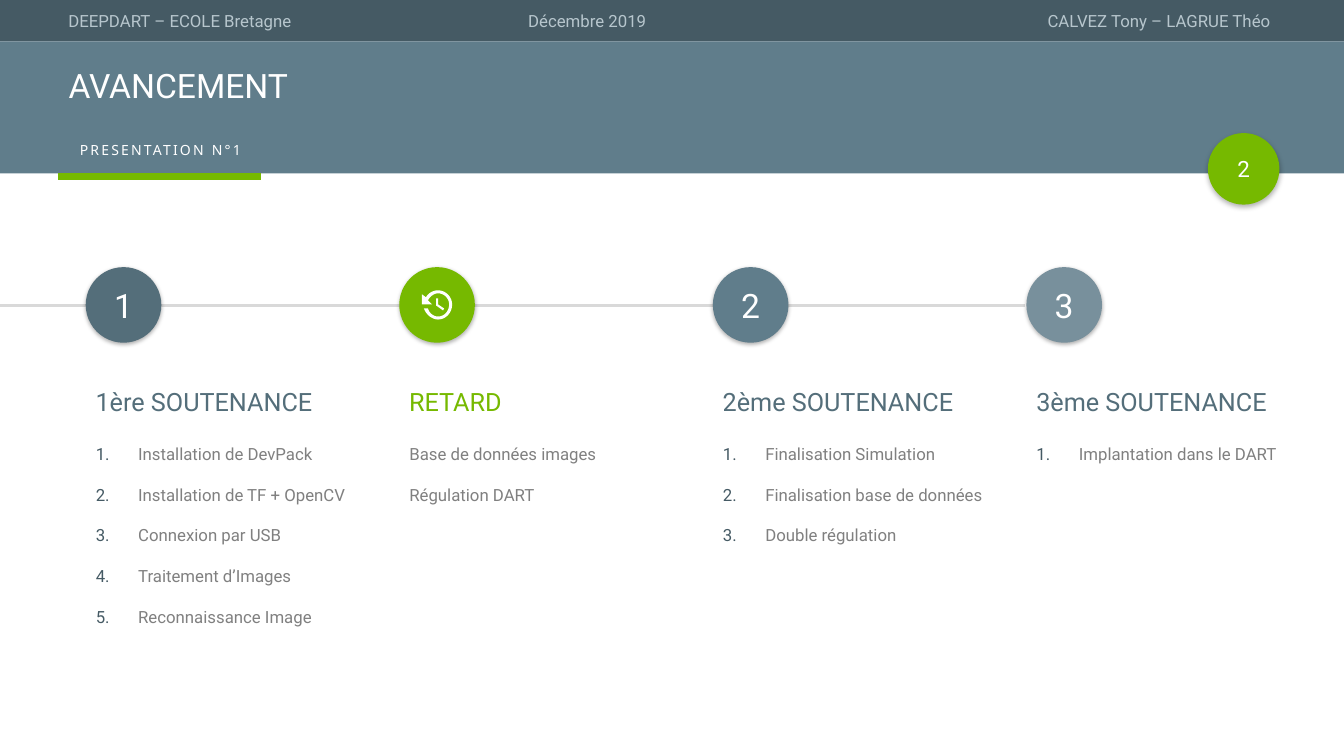
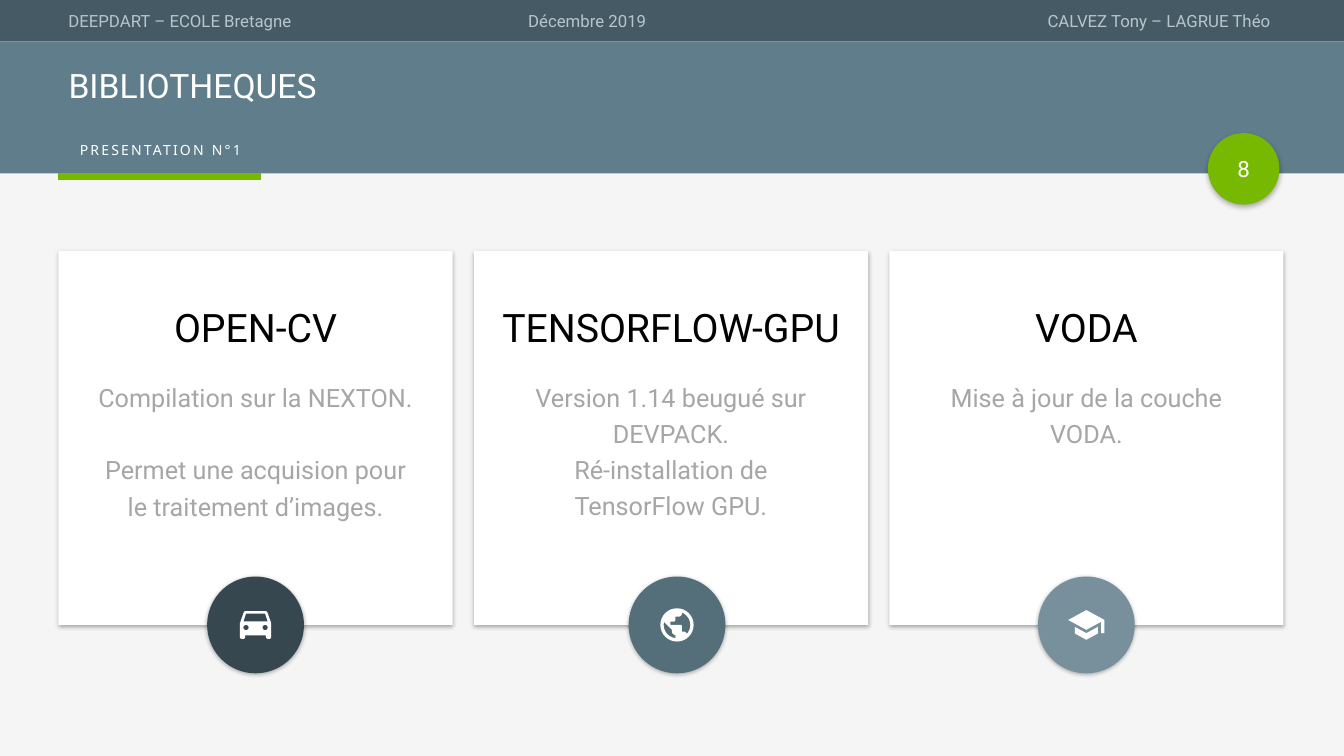
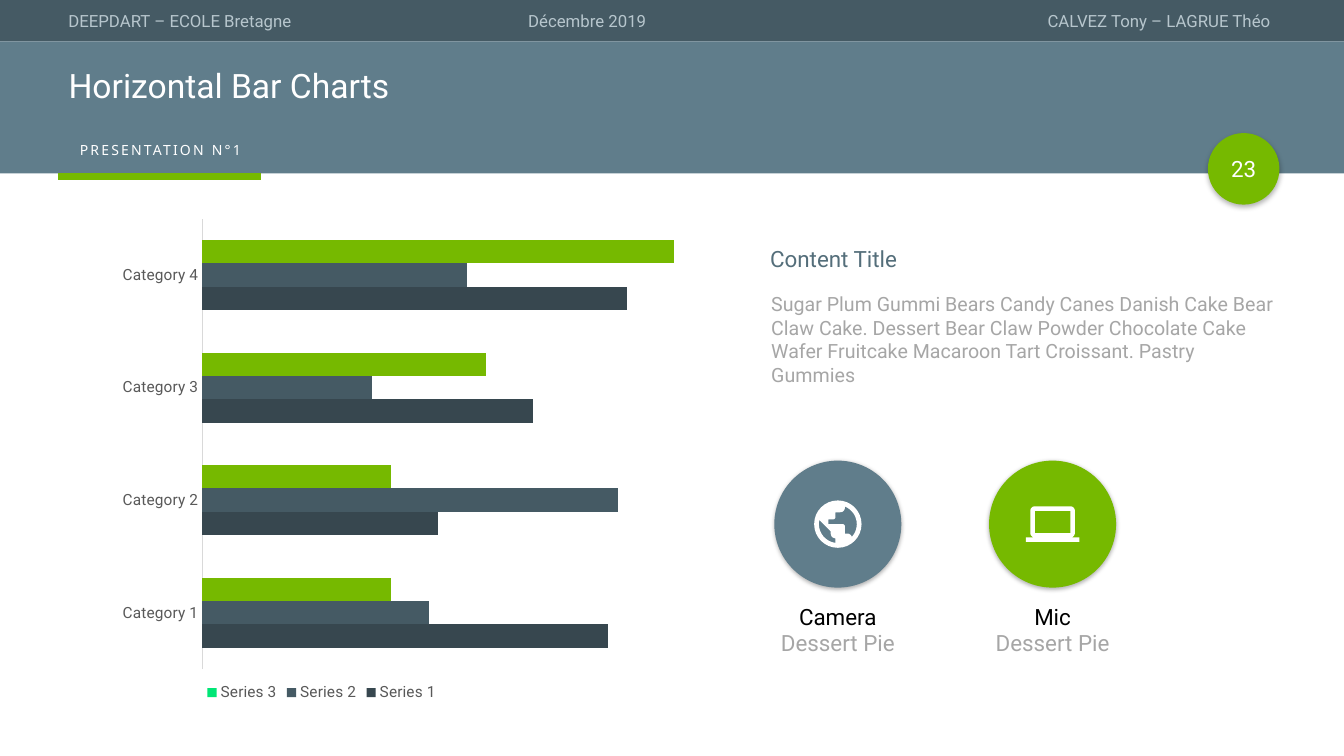
from lxml.etree import SubElement
from pptx import Presentation
from pptx.chart.data import CategoryChartData
from pptx.dml.color import RGBColor
from pptx.enum.chart import XL_CHART_TYPE, XL_LEGEND_POSITION, XL_TICK_MARK
from pptx.enum.shapes import MSO_CONNECTOR, MSO_SHAPE
from pptx.enum.text import MSO_ANCHOR, MSO_AUTO_SIZE, PP_ALIGN
from pptx.oxml import parse_xml
from pptx.oxml.ns import nsdecls, qn
from pptx.util import Inches, Pt

FONT = "Roboto"
GREEN, WHITE, BLACK = "76B900", "FFFFFF", "000000"
DEEP, DARK, SLATE, STEEL, MIST = "37474F", "455A64", "546E7A", "607D8B", "78909C"
GREY, PALE, RULE, FAINT = "808080", "A6A6A6", "D9D9D9", "B7C6CD"
LEFT, MID, RIGHT = PP_ALIGN.LEFT, PP_ALIGN.CENTER, PP_ALIGN.RIGHT

# Icon outlines: M starts a contour, L is a point, C is a cubic curve
GLOBE = ("M12 2C6.48 2 2 6.48 2 12C2 17.52 6.48 22 12 22C17.52 22 22 17.52 22 12"
         "C22 6.48 17.52 2 12 2M11 19.93C7.05 19.44 4 16.08 4 12"
         "C4 11.38 4.08 10.79 4.21 10.21L9 15L9 16C9 17.1 9.9 18 11 18"
         "M17.9 17.39C17.64 16.58 16.9 16 16 16L15 16L15 13C15 12.45 14.55 12 14 12"
         "L8 12L8 10L10 10C10.55 10 11 9.55 11 9L11 7L13 7C14.1 7 15 6.1 15 5"
         "L15 4.59C17.93 5.78 20 8.65 20 12C20 14.08 19.2 15.97 17.9 17.39")
CAR = ("M18.92 6.01C18.72 5.42 18.16 5 17.5 5L6.5 5C5.84 5 5.29 5.42 5.08 6.01"
       "L3 12L3 20C3 20.55 3.45 21 4 21L5 21C5.55 21 6 20.55 6 20L6 19L18 19L18 20"
       "C18 20.55 18.45 21 19 21L20 21C20.55 21 21 20.55 21 20L21 12"
       "M6.5 16C5.67 16 5 15.33 5 14.5C5 13.67 5.67 13 6.5 13"
       "C7.33 13 8 13.67 8 14.5C8 15.33 7.33 16 6.5 16"
       "M17.5 16C16.67 16 16 15.33 16 14.5C16 13.67 16.67 13 17.5 13"
       "C18.33 13 19 13.67 19 14.5C19 15.33 18.33 16 17.5 16"
       "M5 11L6.5 6.5L17.5 6.5L19 11")
CAP = ("M5 13.18L5 17.18L12 21L19 17.18L19 13.18L12 17"
       "M12 3L1 9L12 15L21 10.09L21 17L23 17L23 9")
CLOCK = ("M16 0C11 0 6 3 4 7L0 4L0 14L10 14L6 10C8 6 12 3 16 3C22 3 27 8 27 14"
         "C27 21 22 26 16 26C11 26 7 22 6 18L2 18C4 24 10 29 16 29"
         "C24 29 30 22 30 14C30 7 24 0 16 0M14 8L14 15L21 20L22 18L16 14L16 8")
LAPTOP = ("M20 18C21.1 18 22 17.1 22 16L22 6C22 4.9 21.1 4 20 4L4 4"
          "C2.9 4 2 4.9 2 6L2 16C2 17.1 2.9 18 4 18L0 18L0 20L24 20L24 18"
          "M4 6L20 6L20 16L4 16")


def rgb(code):
    return RGBColor.from_string(code)


def style(par, size, color, align=LEFT, font=FONT):
    par.alignment = align
    par.font.size, par.font.name, par.font.bold = Pt(size), font, False
    par.font.color.rgb = rgb(color)


def write(frame, lines, size, color, align=LEFT, anchor=MSO_ANCHOR.TOP,
          font=FONT, space=None, gap=0):
    """Fill a frame with one paragraph a line; gap is points between them."""
    frame.word_wrap, frame.vertical_anchor = True, anchor
    frame.auto_size = MSO_AUTO_SIZE.NONE
    for i, line in enumerate(lines):
        par = frame.paragraphs[0] if i == 0 else frame.add_paragraph()
        par.text = line
        par.space_before = Pt(0)
        par.space_after = Pt(gap if i < len(lines) - 1 else 0)
        if space:
            par.line_spacing = space
        style(par, size, color, align, font)
    return frame.paragraphs


def label(slide, x, y, w, h, lines, size, color, **look):
    box = slide.shapes.add_textbox(Inches(x), Inches(y), Inches(w), Inches(h))
    return write(box.text_frame, lines, size, color, **look)


def block(slide, kind, x, y, w, h, color, blur=0, dist=0):
    """A filled shape without outline, with a soft shadow below if blur is set."""
    shape = slide.shapes.add_shape(kind, Inches(x), Inches(y), Inches(w), Inches(h))
    shape.fill.solid()
    shape.fill.fore_color.rgb = rgb(color)
    shape.line.fill.background()
    shape.shadow.inherit = False
    if blur:
        cast = SubElement(shape.element.spPr.find(qn("a:effectLst")), qn("a:outerShdw"),
                          blurRad=str(Pt(blur)), dist=str(Pt(dist)), dir="5400000",
                          algn="t", rotWithShape="0")
        tint = SubElement(cast, qn("a:srgbClr"), val=BLACK)
        SubElement(tint, qn("a:alpha"), val="30000")
    return shape


def rule(slide, x, y, end, color, width):
    line = slide.shapes.add_connector(MSO_CONNECTOR.STRAIGHT, Inches(x), Inches(y),
                                      Inches(end), Inches(y))
    line.line.color.rgb, line.line.width = rgb(color), Pt(width)
    SubElement(line.element.spPr, qn("a:effectLst"))


def trace(outline):
    """Turn an outline into contours of points, with curves cut into steps."""
    loops = []
    for part in outline.split("M")[1:]:
        loop = []
        for piece in part.replace("L", "|").replace("C", "|").split("|"):
            n = [float(v) for v in piece.split()]
            if len(n) == 2:
                loop.append(tuple(n))
                continue
            ctrl = [loop[-1], *zip(n[::2], n[1::2])]
            for t in (k / 8 for k in range(1, 9)):
                mix = ((1 - t) ** 3, 3 * t * (1 - t) ** 2, 3 * t * t * (1 - t), t ** 3)
                loop.append(tuple(sum(m * c[a] for m, c in zip(mix, ctrl)) for a in (0, 1)))
        loops.append(loop)
    return loops


def icon(slide, x, y, width, outline):
    """Draw a white icon of the given width, centred on x, y."""
    loops = trace(outline)
    xs, ys = zip(*(p for loop in loops for p in loop))
    unit = width / (max(xs) - min(xs))
    midx, midy = (max(xs) + min(xs)) / 2, (max(ys) + min(ys)) / 2
    loops = [[(Inches(x + (a - midx) * unit), Inches(y + (b - midy) * unit))
              for a, b in loop] for loop in loops]
    pen = slide.shapes.build_freeform(*loops[0][0])
    for i, loop in enumerate(loops):
        if i:
            pen.move_to(*loop[0])
        pen.add_line_segments(loop[1:], close=True)
    shape = pen.convert_to_shape()
    shape.fill.solid()
    shape.fill.fore_color.rgb = rgb(WHITE)
    shape.line.fill.background()
    shape.shadow.inherit = False


def disc(slide, x, y, size, color, outline=None, width=0):
    """A shadowed circle with its top left at x, y and an optional icon."""
    shape = block(slide, MSO_SHAPE.OVAL, x, y, size, size, color, 3, 1)
    if outline:
        icon(slide, x + size / 2, y + size / 2, width, outline)
    return shape


def dress(prs, slide):
    """Build the header on a blank slide, then move it to the master."""
    block(slide, MSO_SHAPE.RECTANGLE, 0, 0, 13.33, 0.41, DARK)
    block(slide, MSO_SHAPE.RECTANGLE, 0, 0.41, 13.33, 1.31, STEEL)
    for x, y, text, align in ((0.58, 0.06, "DEEPDART – ECOLE Bretagne", LEFT),
                              (5.14, 0.06, "Décembre 2019", LEFT),
                              (7.14, 0.06, "CALVEZ Tony – LAGRUE Théo", RIGHT)):
        label(slide, x, y, 5.56, 0.3, [text], 12, FAINT, align=align)
    block(slide, MSO_SHAPE.OVAL, 11.98, 1.32, 0.71, 0.71, GREEN, 4, 2)
    tab = label(slide, 0.58, 1.35, 2.02, 0.27, ["PRESENTATION N°1"], 10, WHITE,
                align=MID, font="Noto Sans")
    tab[0].runs[0]._r.get_or_add_rPr().set("spc", "160")
    rule(slide, 0.58, 1.75, 2.59, GREEN, 4.5)
    tree = prs.slide_master.shapes.element
    for i, shape in enumerate(list(slide.shapes)):
        if not shape.is_placeholder:
            shape.element.xpath(".//p:cNvPr")[0].set("id", str(100 + i))
            tree.append(shape.element)


def place(shape, x, y, w, h):
    shape.left, shape.top = Inches(x), Inches(y)
    shape.width, shape.height = Inches(w), Inches(h)


def head(slide, title, page):
    """Title and page number."""
    place(slide.shapes.title, 0.58, 0.63, 12.28, 0.47)
    write(slide.shapes.title.text_frame, [title], 24, WHITE,
          anchor=MSO_ANCHOR.MIDDLE, space=0.9)
    label(slide, 11.94, 1.47, 0.79, 0.4, [page], 16, WHITE, align=MID,
          anchor=MSO_ANCHOR.MIDDLE)


def bullet(par, number):
    """Number a paragraph, or clear the bullet it inherits."""
    props = par._p.get_or_add_pPr()
    inset = Inches(0.42) if number else 0
    props.set("marL", str(inset))
    props.set("indent", str(-inset))
    marks = ([f'<a:buClr {nsdecls("a")}><a:srgbClr val="{DARK}"/></a:buClr>',
              f'<a:buFont {nsdecls("a")} typeface="+mj-lt"/>',
              f'<a:buAutoNum {nsdecls("a")} type="arabicPeriod"/>']
             if number else [f'<a:buNone {nsdecls("a")}/>'])
    for mark in marks:
        props.find(qn("a:defRPr")).addprevious(parse_xml(mark))


def step(slide, body, x, y, mark, color, name, tint, items):
    """One stage of the timeline: disc, heading and list."""
    shape = disc(slide, x, y, 0.75, color, None if mark else CLOCK, 0.3)
    if mark:
        write(shape.text_frame, [mark], 24, WHITE, align=MID, anchor=MSO_ANCHOR.MIDDLE)
    label(slide, x, y + 1.13, 2.97, 0.4, [name], 18, tint)
    place(body, x, y + 1.7, 2.97, 2.12)
    for par in write(body.text_frame, items, 12, GREY, gap=14.7):
        bullet(par, bool(mark))


def plan(slide):
    head(slide, "AVANCEMENT", "2")
    rule(slide, 0, 3.03, 10.17, RULE, 2)
    steps = (
        ("1", SLATE, "1ère SOUTENANCE", SLATE,
         ["Installation de DevPack", "Installation de TF + OpenCV", "Connexion par USB",
          "Traitement d’Images", "Reconnaissance Image"]),
        ("", GREEN, "RETARD", GREEN, ["Base de données images", "Régulation DART"]),
        ("2", STEEL, "2ème SOUTENANCE", SLATE,
         ["Finalisation Simulation", "Finalisation base de données", "Double régulation"]),
        ("3", MIST, "3ème SOUTENANCE", SLATE, ["Implantation dans le DART"]),
    )
    bodies = list(slide.placeholders)[1:]
    for i, (body, data) in enumerate(zip(bodies, steps)):
        step(slide, body, 0.85 + 3.11 * i, 2.65, *data)


def card(slide, x, y, name, lines, gap, color, outline, width, shift):
    """A white card with a disc on its lower edge."""
    w, h, size = 3.91, 3.71, 0.96
    block(slide, MSO_SHAPE.RECTANGLE, x, y, w, h, WHITE, 3, 1)
    label(slide, x, y + 0.38, w, 0.62, [name], 28, BLACK, align=MID, space=1.2)
    label(slide, x + 0.27, y + 1.19, w - 0.54, 1.53, lines, 18, PALE, align=MID,
          space=1.2, gap=gap)
    disc(slide, x + (w - size) / 2 + shift, y + h - size / 2, size, color, outline, width)


def cards(slide):
    slide.background.fill.solid()
    slide.background.fill.fore_color.rgb = rgb("F5F5F5")
    head(slide, "BIBLIOTHEQUES", "8")
    data = (
        ("OPEN-CV", ["Compilation sur la NEXTON.",
                     "Permet une acquision pour le traitement d’images."],
         26, DEEP, CAR, 0.31, 0),
        ("TENSORFLOW-GPU", ["Version 1.14 beugué sur DEVPACK.",
                            "Ré-installation de TensorFlow GPU."],
         0, SLATE, GLOBE, 0.33, 0.06),
        ("VODA", ["Mise à jour de la couche VODA."], 0, MIST, CAP, 0.36, 0),
    )
    for i, item in enumerate(data):
        card(slide, 0.58 + 4.12 * i, 2.49, *item)


def layout(x, y, w=None, h=None):
    """Chart layout as shares of the chart's size."""
    inner = '<c:layoutTarget val="inner"/>' if w else ""
    modes = '<c:xMode val="edge"/><c:yMode val="edge"/>'
    sizes = "".join(f'<c:{k} val="{v}"/>' for k, v in zip("xywh", (x, y, w, h)) if v)
    return parse_xml(f'<c:layout {nsdecls("c")}><c:manualLayout>{inner}{modes}{sizes}'
                     '</c:manualLayout></c:layout>')


def bars(slide, x, y, w, h):
    data = CategoryChartData()
    data.categories = [f"Category {n}" for n in range(1, 5)]
    rows = ((86, 50, 70, 90), (48, 88, 36, 56), (40, 40, 60, 100))
    for n, row in enumerate(rows, 1):
        data.add_series(f"Series {n}", row)
    chart = slide.shapes.add_chart(XL_CHART_TYPE.BAR_CLUSTERED, Inches(x), Inches(y),
                                   Inches(w), Inches(h), data).chart
    chart.has_title = False
    chart.has_legend = True
    chart.legend.position = XL_LEGEND_POSITION.BOTTOM
    chart.legend.include_in_layout = False
    cats, vals = chart.category_axis, chart.value_axis
    for font in (chart.font, chart.legend.font, cats.tick_labels.font):
        font.name, font.size, font.color.rgb = FONT, Pt(11), rgb("595959")
    # Axes
    cats.major_tick_mark = XL_TICK_MARK.NONE
    cats.format.line.color.rgb, cats.format.line.width = rgb(RULE), Pt(0.75)
    vals.visible = vals.has_major_gridlines = False
    vals.minimum_scale, vals.maximum_scale = 0, 120
    # Bars
    plot = chart.plots[0]
    plot.gap_width, plot.overlap, plot.vary_by_categories = 182, 0, False
    for series, color in zip(plot.series, (DEEP, DARK, "00E676")):
        series.format.fill.solid()
        series.format.fill.fore_color.rgb = rgb(color)
    for n in range(4):
        fill = plot.series[2].points[n].format.fill
        fill.solid()
        fill.fore_color.rgb = rgb(GREEN)
    # Places of the plot and the legend
    area = chart._chartSpace.xpath(".//c:plotArea")[0]
    for old in area.findall(qn("c:layout")):
        area.remove(old)
    area.insert(0, layout(0.14, 0.02, 0.84, 0.89))
    key = chart._chartSpace.xpath(".//c:legend")[0]
    for old in key.findall(qn("c:layout")):
        key.remove(old)
    key.find(qn("c:legendPos")).addnext(layout(0.14, 0.93))


def badge(slide, x, y, name, color, outline, width):
    """A large disc with a two-line caption."""
    disc(slide, x, y, 1.26, color, outline, width)
    lines = label(slide, x - 0.25, y + 1.36, 1.76, 0.64, [name, "Dessert Pie"], 16,
                  BLACK, align=MID)
    lines[1].font.color.rgb = rgb(PALE)


def report(slide):
    head(slide, "Horizontal Bar Charts", "23")
    bars(slide, 1.07, 2.07, 6.69, 5.02)
    label(slide, 7.54, 2.38, 2, 0.37, ["Content Title"], 16, SLATE)
    label(slide, 7.55, 2.85, 5.19, 1.04,
          ["Sugar Plum Gummi Bears Candy Canes Danish Cake Bear Claw Cake. Dessert Bear "
           "Claw Powder Chocolate Cake Wafer Fruitcake Macaroon Tart Croissant. Pastry "
           "Gummies"], 14, PALE)
    badge(slide, 7.68, 4.57, "Camera", STEEL, GLOBE, 0.47)
    badge(slide, 9.81, 4.57, "Mic", GREEN, LAPTOP, 0.53)


def main():
    prs = Presentation()
    prs.slide_width, prs.slide_height = Inches(13.33), Inches(7.5)
    # Layout 4 has a title and four text areas, layout 5 a title only
    for i, (kind, build) in enumerate(((4, plan), (5, cards), (5, report))):
        slide = prs.slides.add_slide(prs.slide_layouts[kind])
        if i == 0:
            dress(prs, slide)
        build(slide)
    prs.save("out.pptx")


if __name__ == "__main__":
    main()
